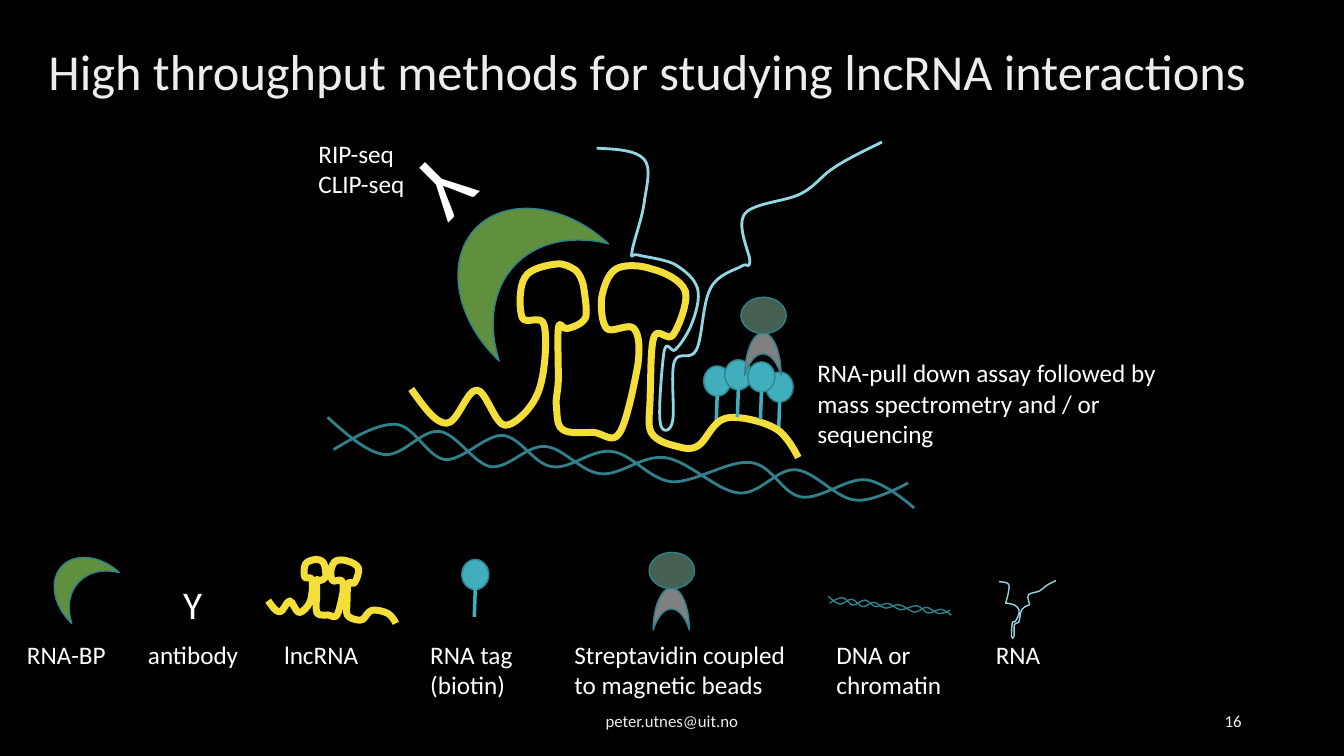
import copy

import pptx
import pptx.dml.color
import pptx.enum.shapes
import pptx.enum.text
import pptx.oxml
import pptx.oxml.ns
import pptx.util
from lxml import etree

Pt = pptx.util.Pt
qn = pptx.oxml.ns.qn
SHAPE = pptx.enum.shapes.MSO_SHAPE
ALIGN = pptx.enum.text.PP_ALIGN
ANCHOR = pptx.enum.text.MSO_ANCHOR
AUTO_SIZE = pptx.enum.text.MSO_AUTO_SIZE

TITLE = "High throughput methods for studying lncRNA interactions"
FONT, WHITE, OUTLINE, BIOTIN = "Calibri", "FFFFFF", "30818C", "41AEBD"
TITLE_FADE = (280, ["BFBFBF", "EDEDED", WHITE])
FOOTER_FADE = (270, ["9E9E9E", "EDEDED", WHITE])

# Legend: lines, left, width, height
LEGEND_TOP = 452.9
LEGEND = [
    (["RNA-BP"], 12.2, 80, 28.8),
    (["antibody"], 98.6, 123, 28.8),
    (["lncRNA"], 195.8, 98, 28.8),
    (["RNA tag", "(biotin)"], 300.2, 98, 50.9),
    (["Streptavidin coupled to magnetic beads"], 403.2, 173.5, 50.9),
    (["DNA or", "chromatin"], 590.4, 106, 50.9),
    (["RNA"], 704.2, 74, 28.8),
]
METHODS = [
    (["RIP-seq", "CLIP-seq"], 220.3, 95, 94.3, 50.9),
    (["RNA-pull down assay followed by mass spectrometry and / or sequencing"],
     576.7, 252, 279.4, 72.7),
]

TAGS_BEHIND = [(547.2, 265.7), (502.6, 261.4)]
TAGS_IN_FRONT = [(517.7, 257), (534.2, 258.5), (329.8, 399.6)]
BINDING_PROTEINS = [(329, 132.5, 77, 114.5), (39.6, 391, 33.1, 49.7)]
BEADS = [(529.2, 212.4), (463.7, 394.6)]

# Curves: a start point, then two control points and an end point per segment
GRID = 0.72  # points per curve unit
LNCRNA = [
    (408, 386),
    (420, 403, 432, 420, 443, 420), (454, 420, 463, 387, 473, 387),
    (482, 387, 491, 421, 501, 422), (511, 422, 528, 405, 534, 389),
    (541, 372, 543, 335, 540, 323), (538, 311, 521, 323, 518, 315),
    (515, 307, 515, 283, 521, 275), (526, 266, 544, 263, 552, 262),
    (560, 261, 566, 265, 571, 268), (575, 272, 577, 276, 579, 284),
    (580, 292, 583, 308, 581, 315), (578, 322, 567, 325, 563, 326),
    (558, 328, 556, 317, 554, 325), (553, 333, 554, 362, 554, 375),
    (554, 388, 551, 394, 552, 403), (553, 411, 552, 422, 558, 426),
    (564, 431, 580, 429, 589, 429), (599, 430, 608, 441, 615, 429),
    (622, 418, 630, 378, 633, 361), (635, 343, 634, 332, 629, 326),
    (624, 320, 607, 331, 602, 326), (597, 321, 596, 305, 597, 295),
    (599, 285, 603, 272, 611, 267), (619, 262, 636, 263, 647, 267),
    (659, 270, 676, 278, 680, 289), (683, 300, 673, 325, 668, 332),
    (663, 340, 653, 324, 649, 334), (645, 344, 646, 377, 645, 393),
    (645, 409, 642, 421, 646, 429), (651, 438, 664, 441, 672, 443),
    (680, 445, 685, 447, 693, 442), (701, 437, 707, 418, 720, 415),
    (732, 412, 757, 418, 769, 425), (781, 431, 792, 454, 792, 454),
]
DNA_STRANDS = [
    [(331, 446),
     (353, 433, 375, 420, 393, 421), (412, 423, 424, 454, 442, 456),
     (459, 457, 482, 431, 499, 432), (517, 434, 530, 461, 548, 463),
     (566, 466, 587, 445, 607, 448), (627, 450, 644, 476, 667, 478),
     (690, 479, 723, 456, 745, 459), (766, 461, 776, 490, 795, 493),
     (814, 496, 840, 474, 859, 476), (878, 478, 907, 504, 907, 504)],
    [(325, 414),
     (344, 431, 363, 448, 381, 451), (400, 453, 418, 426, 436, 428),
     (453, 430, 470, 460, 487, 463), (505, 465, 523, 441, 541, 443),
     (559, 444, 576, 468, 596, 470), (616, 472, 637, 451, 660, 454),
     (683, 457, 711, 487, 733, 489), (754, 491, 770, 465, 789, 466),
     (808, 467, 829, 494, 848, 496), (866, 499, 901, 479, 901, 479)],
]
RNA = [
    (592, 147),
    (612, 148, 631, 149, 639, 158), (647, 167, 641, 186, 639, 202),
    (637, 217, 628, 241, 627, 250), (626, 259, 626, 251, 633, 253),
    (640, 255, 659, 257, 669, 262), (679, 268, 689, 276, 692, 286),
    (695, 296, 690, 312, 686, 322), (682, 332, 675, 342, 670, 347),
    (666, 351, 662, 336, 659, 348), (657, 360, 653, 407, 655, 419),
    (656, 430, 665, 429, 667, 419), (670, 409, 665, 371, 669, 359),
    (673, 347, 685, 359, 691, 347), (697, 335, 697, 300, 705, 286),
    (712, 272, 729, 268, 736, 264), (742, 260, 743, 268, 744, 259),
    (744, 251, 730, 224, 739, 212), (748, 201, 780, 200, 795, 192),
    (810, 184, 815, 174, 828, 166), (841, 157, 875, 141, 875, 141),
]


def color(value):
    return pptx.dml.color.RGBColor.from_string(value)


def fade(font, angle, hexes):
    """Fill text with a three-stop gradient."""
    font.fill.gradient()
    font.fill.gradient_angle = angle
    first = font._element.find(".//" + qn("a:gs"))
    first.addnext(copy.deepcopy(first))
    for stop, value, position in zip(font.fill.gradient_stops, hexes, (0, 0.28, 1)):
        stop.color.rgb = color(value)
        stop.position = position


def write(lines, left, top, width, height, size=18, ink=WHITE, align=ALIGN.LEFT,
          anchor=ANCHOR.TOP, wrap=True, grow=True, rotation=0, spacing=None, holder=None):
    box = holder or slide.shapes.add_textbox(0, 0, 0, 0)
    box.left, box.top, box.width, box.height = map(Pt, (left, top, width, height))
    box.rotation = rotation
    frame = box.text_frame
    frame.text = "\n".join(lines)
    frame.word_wrap = wrap
    frame.vertical_anchor = anchor
    frame.auto_size = AUTO_SIZE.SHAPE_TO_FIT_TEXT if grow else AUTO_SIZE.NONE
    for paragraph in frame.paragraphs:
        paragraph.alignment = align
        paragraph.line_spacing = spacing
        font = paragraph.runs[0].font
        font.name, font.size = FONT, Pt(size)
        if isinstance(ink, str):
            font.color.rgb = color(ink)
        else:
            fade(font, *ink)


def solid(shapes, kind, left, top, width, height, fill, rotation=0):
    shape = shapes.add_shape(kind, *map(Pt, (left, top, width, height)))
    shape.shadow.inherit = False
    shape.rotation = rotation
    shape.fill.solid()
    shape.fill.fore_color.rgb = color(fill)
    shape.line.color.rgb = color(OUTLINE)
    shape.line.width = Pt(1)


def biotin_tag(left, top):
    shapes = slide.shapes.add_group_shape().shapes
    solid(shapes, SHAPE.OVAL, left, top, 19.4, 21.6, BIOTIN)
    stem = shapes.add_connector(
        pptx.enum.shapes.MSO_CONNECTOR.STRAIGHT,
        *map(Pt, (left + 9.7, top + 21, left + 9, top + 41)))
    stem.line.color.rgb = color(BIOTIN)
    stem.line.width = Pt(2.5)
    etree.SubElement(stem._element.spPr, qn("a:effectLst"))


def magnetic_bead(left, top):
    shapes = slide.shapes.add_group_shape().shapes
    solid(shapes, SHAPE.MOON, left + 0.7, top + 27.4, 30.2, 25.9, "808080", rotation=90)
    solid(shapes, SHAPE.OVAL, left, top, 32.4, 25.9, "455F51")


def curve(shapes, segments, ink, weight, origin=(0, 0), target=(0, 0), scale=1):
    """Draw Bezier segments, moved from origin to target and scaled."""
    numbers = [n for segment in segments for n in segment]
    points = [tuple(Pt(GRID * (t + (n - o) * scale)) for n, o, t in zip(pair, origin, target))
              for pair in zip(numbers[::2], numbers[1::2])]
    builder = shapes.build_freeform(*points[0], scale=1.0)
    builder.add_line_segments(points[1:], close=False)
    strand = builder.convert_to_shape()
    strand.shadow.inherit = False
    strand.fill.background()
    strand.line.color.rgb = color(ink)
    strand.line.width = Pt(weight)
    outline = strand._element.find(".//" + qn("a:path"))
    steps = outline.findall(qn("a:lnTo"))
    for i in range(0, len(steps), 3):
        bezier = etree.SubElement(outline, qn("a:cubicBezTo"))
        for step in steps[i:i + 3]:
            bezier.append(step[0])
            outline.remove(step)


deck = pptx.Presentation()
deck.slide_width, deck.slide_height = Pt(960), Pt(540)
slide = deck.slides.add_slide(deck.slide_layouts[5])
slide.background.fill.solid()
slide.background.fill.fore_color.rgb = color("000000")

write([TITLE], 27.4, 0.7, 961, 104.4, size=36, ink=TITLE_FADE, anchor=ANCHOR.MIDDLE,
      grow=False, spacing=0.9, holder=slide.shapes.title)
for words, left, width, align in [("peter.utnes@uit.no", 318, 324, ALIGN.CENTER),
                                  ("16", 678, 216, ALIGN.RIGHT)]:
    write([words], left, 500.5, width, 28.8, size=12, ink=FOOTER_FADE, align=align,
          anchor=ANCHOR.MIDDLE, grow=False)

for place in TAGS_BEHIND:
    biotin_tag(*place)
curve(slide.shapes, LNCRNA, "F4DE3A", 5)
curve(slide.shapes, LNCRNA, "F4DE3A", 5, (408, 262), (266, 555), 0.33)
for place in TAGS_IN_FRONT:
    biotin_tag(*place)
for place in BINDING_PROTEINS:
    solid(slide.shapes, SHAPE.MOON, *place, "608F3D", rotation=43)
for place in BEADS:
    magnetic_bead(*place)

for weight, placing in [(1, ((331, 421), (823, 593), 0.21)), (2, ())]:
    helix = slide.shapes.add_group_shape().shapes
    for strand_points in DNA_STRANDS:
        curve(helix, strand_points, OUTLINE, weight, *placing)
curve(slide.shapes, RNA, "94D7E4", 2)
curve(slide.shapes, RNA, "94D7E4", 1, (592, 141), (991, 576), 0.2)

write(["Y"], 123.8, 411.1, 31.7, 41, size=28, wrap=False)
write(["Y"], 290.2, 95.8, 54, 87.1, size=66, wrap=False, rotation=135)
for lines, left, width, height in LEGEND:
    write(lines, left, LEGEND_TOP, width, height)
for method in METHODS:
    write(*method)

deck.save("out.pptx")
